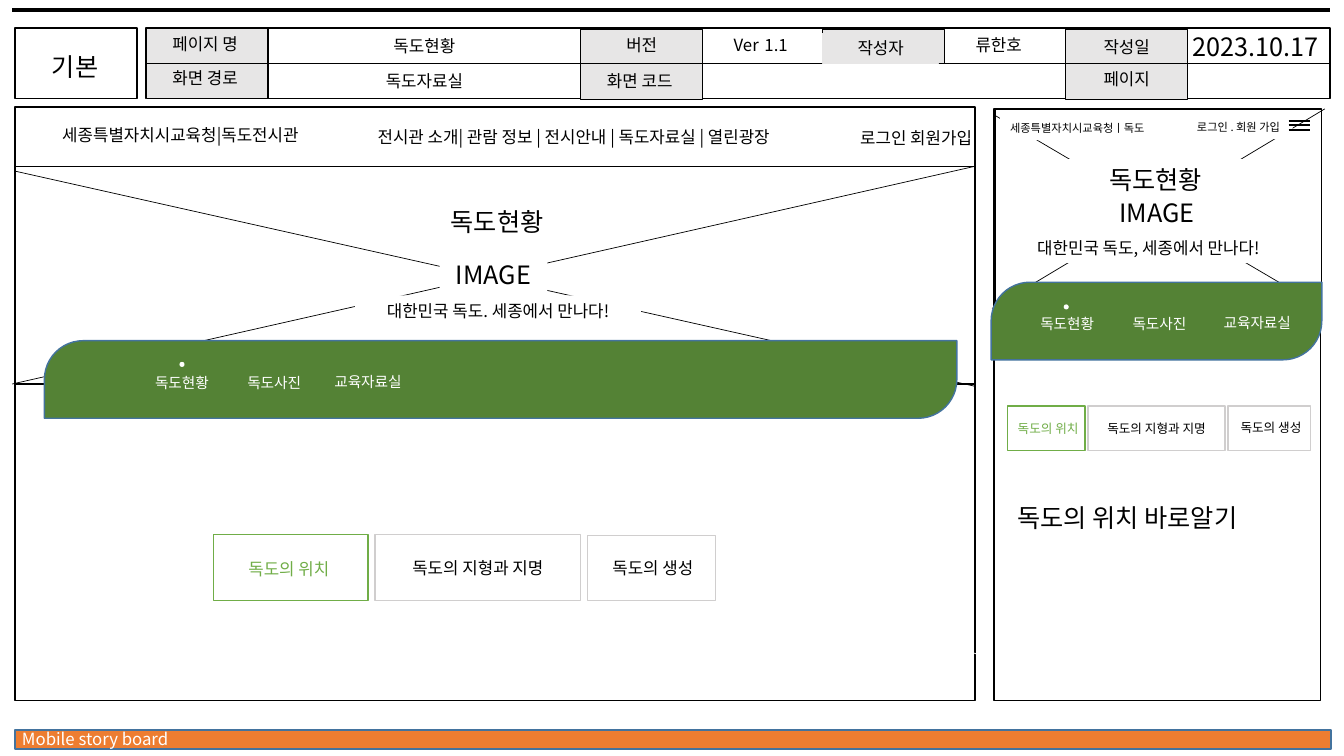
from lxml.etree import SubElement
from pptx import Presentation
from pptx.dml.color import RGBColor
from pptx.enum.shapes import MSO_CONNECTOR as CONNECTOR, MSO_SHAPE as SHAPE
from pptx.enum.text import MSO_AUTO_SIZE as AUTO_SIZE, PP_ALIGN as ALIGN
from pptx.oxml.ns import qn
from pptx.util import Pt

PX = 9144
FONT = "Noto Sans CJK KR"
BLACK = RGBColor(0x00, 0x00, 0x00)
WHITE = RGBColor(0xFF, 0xFF, 0xFF)
ORANGE = RGBColor(0xED, 0x7D, 0x31)
BLUE = RGBColor(0x43, 0x73, 0x9E)
SHADE = RGBColor(0xE7, 0xE6, 0xE6)
BORDER = RGBColor(0xD0, 0xCE, 0xCE)
DARK_GREEN = RGBColor(0x54, 0x82, 0x35)
GREEN = RGBColor(0x70, 0xAD, 0x47)

HEADER_FRAMES = [(15, 28, 121, 70), (145, 28, 1174, 70)]
HEADER_SHADES = [(145, 28, 121, 70), (576, 29, 121, 70), (816, 29, 121, 34), (1057, 29, 121, 70)]
HEADER_LABELS = [
    ((17, 46, 115, 42), "기본", 18),
    ((146, 29, 115, 30), "페이지 명", 12),
    ((146, 62, 115, 30), "화면 경로", 12),
    ((579, 30, 115, 30), "버전", 12),
    ((577, 65, 115, 30), "화면 코드", 12),
    ((1060, 32, 115, 30), "작성일", 12),
    ((1060, 63, 115, 30), "페이지", 12),
    ((890, 30, 201, 30), "류한호", 12),
    ((1145, 26, 201, 40), "2023.10.17", 18),
    ((306, 31, 230, 30), "독도현황", 12),
    ((306, 65, 230, 30), "독도자료실", 12),
]
AUTHOR = ((816, 33, 115, 30), "작성자", 12)
VERSION_AT = (654, 21, 201, 40)
VERSION_RUNS = [("Ver", 12), (" ", 18), ("1.1", 12)]

TABS = ["독도현황", "독도사진", "교육자료실"]
CHOICES = ["독도의 위치", "독도의 지형과 지명", "독도의 생성"]

DESKTOP = {
    "frame": (15, 106, 952, 589),
    "hero": (15, 165, 952, 216),
    "hero_fill": None,
    "lines": [((53, 315), (969, 649), WHITE, 0.5),
              ((12, 381), (967, 165), BLACK, 0.5),
              ((16, 170), (966, 383), BLACK, 0.5)],
    "labels": [
        ((26, 119, 306, 30), "세종특별자치시교육청|독도전시관", 12, ALIGN.CENTER, None),
        ((337, 121, 464, 30), "전시관 소개| 관람 정보 | 전시안내 | 독도자료실 | 열린광장", 12, ALIGN.CENTER, None),
        ((583, 122, 391, 30), "로그인 회원가입", 12, ALIGN.RIGHT, None),
        ((436, 252, 107, 40), "IMAGE", 18, ALIGN.CENTER, WHITE),
        ((402, 200, 182, 40), "독도현황", 18, ALIGN.CENTER, None),
        ((352, 293, 284, 30), "대한민국 독도. 세종에서 만나다!", 12, ALIGN.CENTER, WHITE),
    ],
    "bar": (44, 338, 905, 77),
    "dot": (178, 359),
    "tabs": [(133, 366, 95, 29), (213, 366, 118, 29), (306, 365, 118, 29)],
    "choice_boxes": [(212, 530, 153, 66), (372, 530, 204, 66), (583, 531, 127, 65)],
    "choice_labels": [(209, 549, 155, 30), (372, 548, 204, 30), (585, 548, 125, 30)],
    "choice_size": 12,
}
MOBILE = {
    "frame": (986, 108, 324, 587),
    "hero": (987, 108, 324, 200),
    "hero_fill": WHITE,
    "lines": [((984, 306), (1314, 108), BLACK, 0.5),
              ((1311, 305), (986, 114), BLACK, 0.5)],
    "labels": [
        ((992, 115, 187, 24), "세종특별자치시교육청ㅣ독도", 8, ALIGN.LEFT, WHITE),
        ((1158, 114, 124, 24), "로그인 . 회원 가입 ", 8, ALIGN.RIGHT, WHITE),
        ((1094, 191, 107, 40), "IMAGE", 18, ALIGN.CENTER, WHITE),
        ((997, 231, 284, 30), "대한민국 독도, 세종에서 만나다!", 12, ALIGN.CENTER, WHITE),
        ((1055, 158, 182, 40), "독도현황", 18, ALIGN.CENTER, WHITE),
        ((999, 493, 301, 40), "독도의 위치 바로알기", 18, ALIGN.LEFT, None),
    ],
    "bar": (983, 280, 328, 77),
    "dot": (1055, 302),
    "tabs": [(1011, 307, 95, 29), (1091, 307, 118, 29), (1183, 306, 128, 28)],
    "choice_boxes": [(999, 403, 77, 44), (1079, 403, 136, 44), (1218, 403, 82, 44)],
    "choice_labels": [(990, 413, 99, 25), (1076, 413, 142, 25), (1211, 412, 99, 25)],
    "choice_size": 9,
}
MENU_ICON = {"left": 1278, "right": 1299, "tops": (120, 124, 129)}

presentation = Presentation()
presentation.slide_width = 1333 * PX
presentation.slide_height = 750 * PX
slide = presentation.slides.add_slide(presentation.slide_layouts[6])


def scale(lengths):
    return [length * PX for length in lengths]


def paint(shape, fill, line, width=1):
    if fill is None:
        shape.fill.background()
    else:
        shape.fill.solid()
        shape.fill.fore_color.rgb = fill
    if line is None:
        shape.line.fill.background()
    else:
        shape.line.color.rgb = line
        shape.line.width = Pt(width)


def add_box(at, fill=None, line=BLACK, kind=SHAPE.RECTANGLE):
    shape = slide.shapes.add_shape(kind, *scale(at))
    shape.shadow.inherit = False
    paint(shape, fill, line)
    return shape


def add_line(start, end, color=BLACK, width=1):
    connector = slide.shapes.add_connector(CONNECTOR.STRAIGHT, *scale(start + end))
    connector.line.color.rgb = color
    connector.line.width = Pt(width)
    SubElement(connector._element.spPr, qn("a:effectLst"))


def add_label(at, runs, size=12, align=ALIGN.CENTER, fill=None, color=BLACK, line=None):
    shape = slide.shapes.add_textbox(*scale(at))
    paint(shape, fill, line, 0.75)
    frame = shape.text_frame
    for name, value in {"word_wrap": True, "auto_size": AUTO_SIZE.SHAPE_TO_FIT_TEXT}.items():
        setattr(frame, name, value)
    paragraph = frame.paragraphs[0]
    paragraph.alignment = align
    for text, run_size in [(runs, size)] if isinstance(runs, str) else runs:
        run = paragraph.add_run()
        run.text = text
        run.font.color.rgb = color
        for name, value in {"name": FONT, "size": Pt(run_size)}.items():
            setattr(run.font, name, value)
        SubElement(run._r.get_or_add_rPr(), qn("a:ea"), typeface=FONT)


def add_header():
    for at in HEADER_FRAMES:
        add_box(at)
    for at in HEADER_SHADES:
        add_box(at, SHADE)
    add_line((145, 63), (1319, 63), width=0.5)
    for label in HEADER_LABELS:
        add_label(*label)
    add_label(*AUTHOR, line=SHADE)
    add_label(VERSION_AT, VERSION_RUNS)


def add_view(view):
    add_box(view["frame"])
    add_box(view["hero"], view["hero_fill"])
    for line in view["lines"]:
        add_line(*line)
    for label in view["labels"]:
        add_label(*label)
    bar = add_box(view["bar"], DARK_GREEN, BLUE, SHAPE.ROUND_2_DIAG_RECTANGLE)
    bar.adjustments[0] = 0.5
    bar.adjustments[1] = 0
    add_box(view["dot"] + (5, 5), WHITE, None, SHAPE.OVAL)
    for at, text in zip(view["tabs"], TABS):
        add_label(at, text, 10.5, color=WHITE)
    for index, at in enumerate(view["choice_boxes"]):
        add_box(at, line=BORDER if index else GREEN)
    for index, (at, text) in enumerate(zip(view["choice_labels"], CHOICES)):
        add_label(at, text, view["choice_size"], color=BLACK if index else GREEN)


add_line((12, 10), (1319, 10), width=3)
add_box((15, 724, 1305, 19), ORANGE, BLUE)
add_label((12, 718, 320, 30), "Mobile story board", align=ALIGN.LEFT, color=WHITE)
add_header()
add_view(DESKTOP)
add_view(MOBILE)
for top in MENU_ICON["tops"]:
    add_line((MENU_ICON["left"], top), (MENU_ICON["right"], top))

presentation.save("out.pptx")
